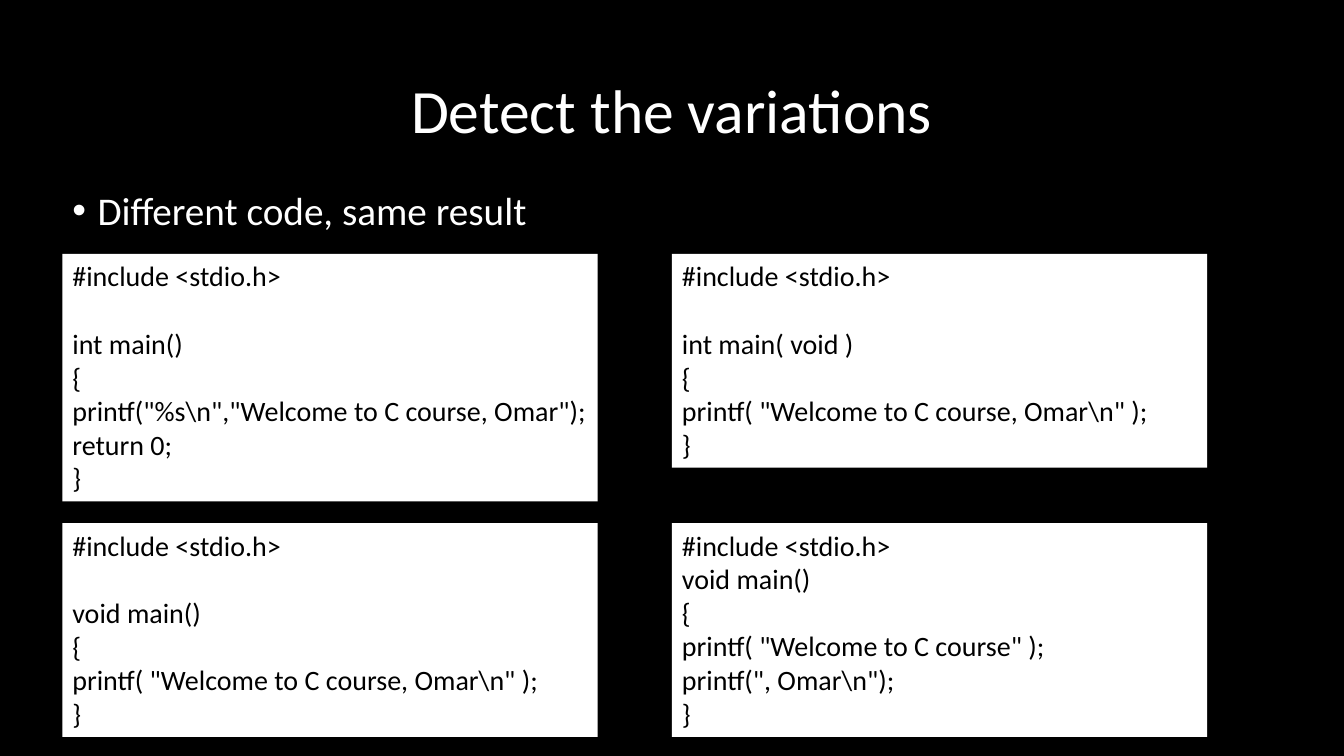
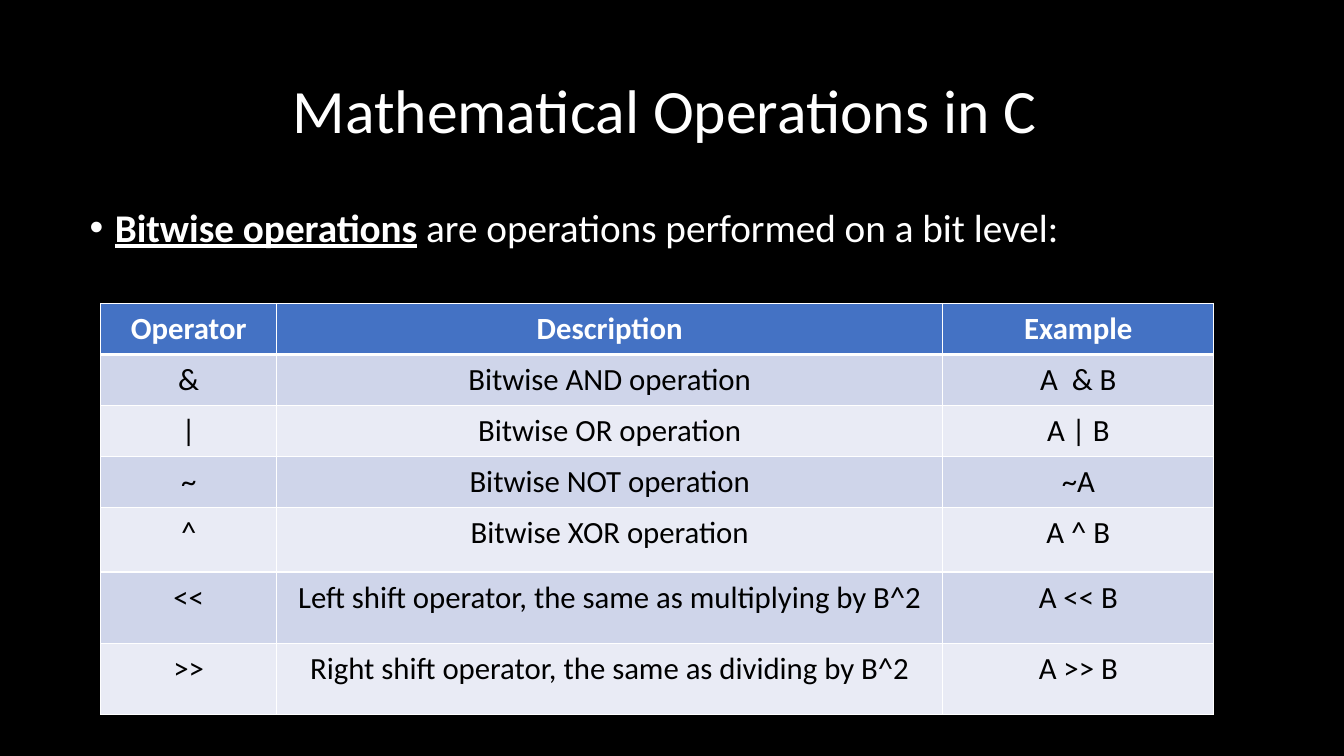
from dataclasses import dataclass

from lxml import etree
from pptx import Presentation
from pptx.dml.color import RGBColor
from pptx.enum import shapes, text
from pptx.oxml import ns
from pptx.util import Pt


@dataclass(frozen=True)
class Theme:
    font: str = "Calibri"
    background: str = "000000"
    light: str = "FFFFFF"
    dark: str = "000000"
    header: str = "4472C4"
    bands: tuple = ("CFD5EA", "E9EBF5")
    title_size: float = 44
    bullet_size: float = 28
    code_size: float = 20
    table_size: float = 22


THEME = Theme()
CENTER = text.PP_ALIGN.CENTER
LEFT = text.PP_ALIGN.LEFT

CODE_COLUMNS = (44.6, 480)
CODE_ROWS = (181.4, 373.7)
CODE_WIDTH = 382.3
CODE_LINE = 24.2
CODE_PADDING = 7.4

VARIATIONS = [
    ["#include <stdio.h>", "", "int main()", "{",
     'printf("%s\\n","Welcome to C course, Omar");', "return 0;", "}"],
    ["#include <stdio.h>", "", "int main( void )", "{",
     'printf( "Welcome to C course, Omar\\n" );', "}"],
    ["#include <stdio.h>", "", "void main()", "{",
     'printf( "Welcome to C course, Omar\\n" );', "}"],
    ["#include <stdio.h>", "void main()", "{",
     'printf( "Welcome to C course" );', 'printf(", Omar\\n");', "}"],
]

OPERATIONS = [
    ("Operator", "Description", "Example"),
    ("&", "Bitwise AND operation", "A  & B"),
    ("|", "Bitwise OR operation", "A | B"),
    ("~", "Bitwise NOT operation", "~A"),
    ("^", "Bitwise XOR operation", "A ^ B"),
    ("<<", "Left shift operator, the same as multiplying by B^2", "A << B"),
    (">>", "Right shift operator, the same as dividing by B^2", "A >> B"),
]
OPERATION_COLUMNS = (125.5, 476, 193.5)
OPERATION_ROWS = (36.5, 36.5, 36.5, 36.5, 46, 51, 51)


def set_all(target, values):
    for name, value in values.items():
        setattr(target, name, value)


def add_run(paragraph, words, size, color, **formats):
    run = paragraph.add_run()
    run.text = words
    set_all(run.font, {"name": THEME.font, "size": Pt(size), **formats})
    run.font.color.rgb = RGBColor.from_string(color)


def add_text_box(slide, left, top, width, height, **paragraph_formats):
    frame = slide.shapes.add_textbox(Pt(left), Pt(top), Pt(width), Pt(height)).text_frame
    frame.word_wrap = True
    set_all(frame.paragraphs[0], {"line_spacing": 0.9, **paragraph_formats})
    return frame


def add_title(slide, words):
    frame = add_text_box(slide, 66, 28.8, 828, 104.4, alignment=CENTER)
    frame.vertical_anchor = text.MSO_ANCHOR.MIDDLE
    add_run(frame.paragraphs[0], words, THEME.title_size, THEME.light)


def add_bullet(slide, left, top, runs):
    frame = add_text_box(slide, left, top, 850, 44, space_before=Pt(10))
    paragraph = frame.paragraphs[0]
    for words, formats in runs:
        add_run(paragraph, words, THEME.bullet_size, THEME.light, **formats)
    properties = paragraph._p.get_or_add_pPr()
    properties.set("marL", str(Pt(18)))
    properties.set("indent", str(Pt(-18)))
    etree.SubElement(properties, ns.qn("a:buFont")).set("typeface", "Arial")
    etree.SubElement(properties, ns.qn("a:buChar")).set("char", "•")


def add_code(slide, left, top, lines):
    height = len(lines) * CODE_LINE + CODE_PADDING
    panel = slide.shapes.add_shape(
        shapes.MSO_SHAPE.RECTANGLE, Pt(left), Pt(top), Pt(CODE_WIDTH), Pt(height))
    panel.shadow.inherit = False
    panel.fill.solid()
    panel.fill.fore_color.rgb = RGBColor.from_string(THEME.light)
    panel.line.fill.background()
    frame = panel.text_frame
    set_all(frame, {"word_wrap": True, "vertical_anchor": text.MSO_ANCHOR.TOP})
    paragraph, gap = frame.paragraphs[0], 0
    for number, line in enumerate(lines):
        if not line:
            gap = CODE_LINE
            continue
        if number:
            paragraph = frame.add_paragraph()
        set_all(paragraph, {"alignment": LEFT, "space_before": Pt(gap)})
        add_run(paragraph, line, THEME.code_size, THEME.dark)
        gap = 0


def set_borders(cell, widths):
    properties = cell._tc.get_or_add_tcPr()
    for position, (side, width) in enumerate(widths.items()):
        border = etree.Element(ns.qn(f"a:ln{side}"), w=str(Pt(width)))
        fill = etree.SubElement(border, ns.qn("a:solidFill"))
        etree.SubElement(fill, ns.qn("a:srgbClr")).set("val", THEME.light)
        properties.insert(position, border)


def fill_cell(cell, words, row):
    is_header = row == 0
    background = THEME.header if is_header else THEME.bands[(row - 1) % 2]
    cell.fill.solid()
    cell.fill.fore_color.rgb = RGBColor.from_string(background)
    sides = ("left", "right", "top", "bottom")
    set_all(cell, {f"margin_{side}": Pt(5) for side in sides})
    set_borders(cell, {"L": 1, "R": 1, "T": 3 if row == 1 else 1, "B": 3 if is_header else 1})
    paragraph = cell.text_frame.paragraphs[0]
    paragraph.alignment = CENTER
    color = THEME.light if is_header else THEME.dark
    add_run(paragraph, words, THEME.table_size, color, bold=is_header)


def add_operations(slide, left, top):
    table = slide.shapes.add_table(
        len(OPERATIONS), len(OPERATION_COLUMNS), Pt(left), Pt(top),
        Pt(sum(OPERATION_COLUMNS)), Pt(sum(OPERATION_ROWS))).table
    for column, width in zip(table.columns, OPERATION_COLUMNS):
        column.width = Pt(width)
    for row, (entries, height) in enumerate(zip(OPERATIONS, OPERATION_ROWS)):
        table.rows[row].height = Pt(height)
        for column, words in enumerate(entries):
            fill_cell(table.cell(row, column), words, row)


def add_slide(deck, title):
    slide = deck.slides.add_slide(deck.slide_layouts[6])
    add_title(slide, title)
    return slide


def main():
    deck = Presentation()
    set_all(deck, {"slide_width": Pt(960), "slide_height": Pt(540)})
    backdrop = deck.slide_master.background.fill
    backdrop.solid()
    backdrop.fore_color.rgb = RGBColor.from_string(THEME.background)

    variations = add_slide(deck, "Detect the variations")
    add_bullet(variations, 44.6, 133.2, [("Different code, same result", {})])
    for index, lines in enumerate(VARIATIONS):
        row, column = divmod(index, len(CODE_COLUMNS))
        add_code(variations, CODE_COLUMNS[column], CODE_ROWS[row], lines)

    operations = add_slide(deck, "Mathematical Operations in C ")
    add_bullet(operations, 57, 145.4, [
        ("Bitwise operations", {"bold": True, "underline": True}),
        (" are operations performed on a bit level:", {}),
    ])
    add_operations(operations, 72, 216.7)

    deck.save("out.pptx")


if __name__ == "__main__":
    main()
